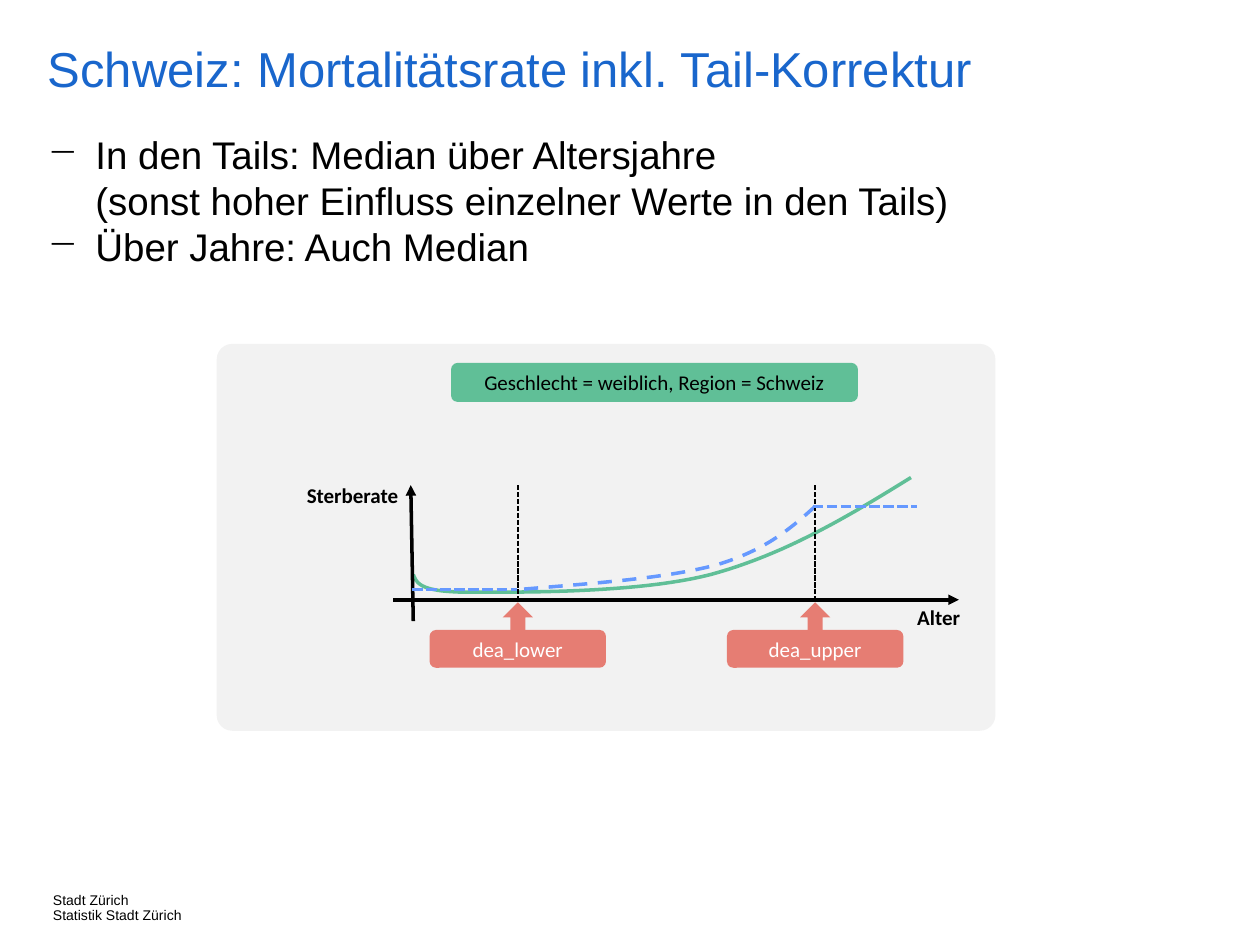
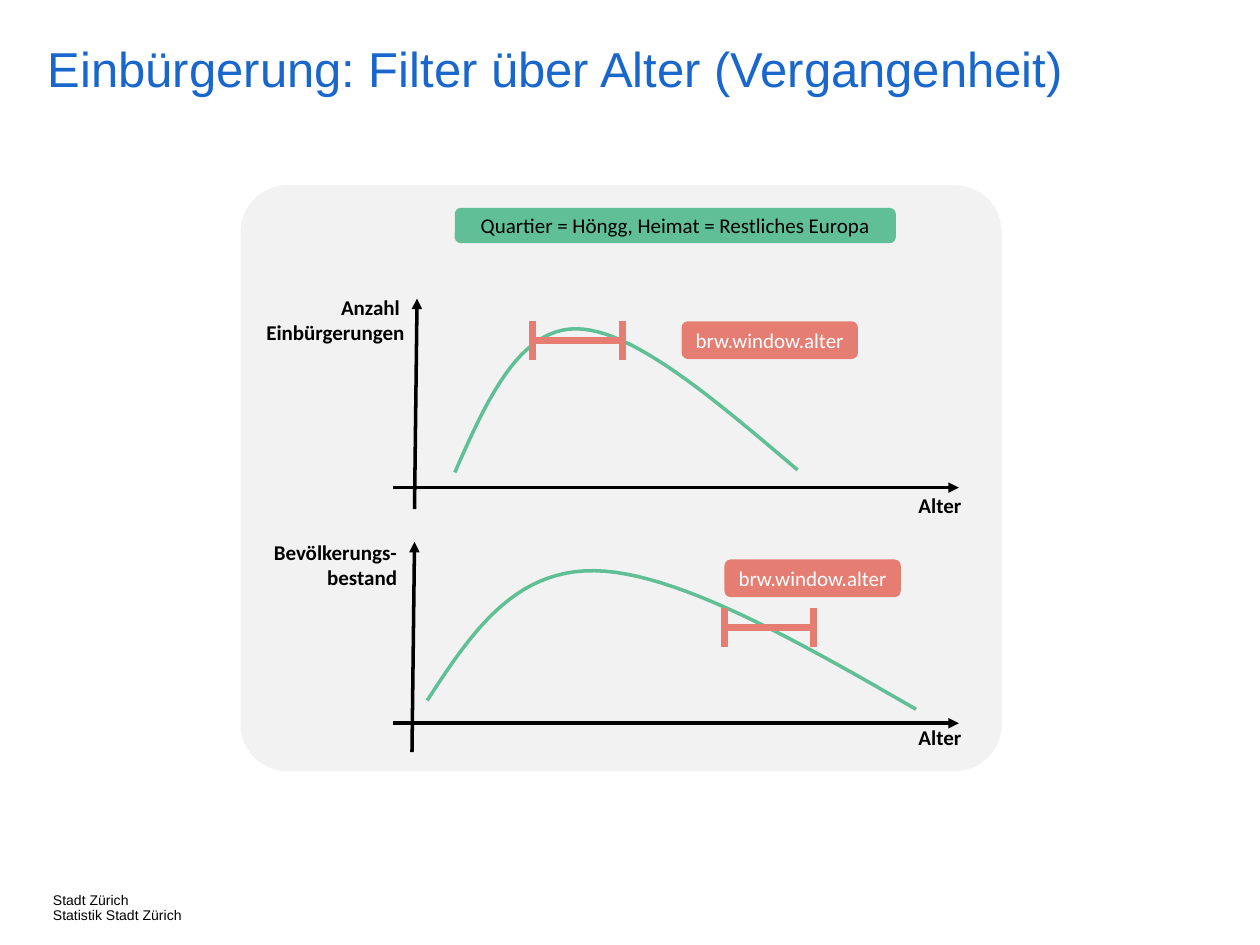
"""Builds two slides on mortality tail correction and naturalisation age filters."""
from lxml import etree
from pptx import Presentation
from pptx import util as u
from pptx.dml.color import RGBColor
from pptx.enum import dml, shapes, text
from pptx.oxml.ns import qn

BLACK = RGBColor(0x00, 0x00, 0x00)
WHITE = RGBColor(0xFF, 0xFF, 0xFF)
TITLE_BLUE = RGBColor(0x19, 0x66, 0xCC)
PANEL_GREY = RGBColor(0xF2, 0xF2, 0xF2)
GREEN = RGBColor(0x60, 0xBF, 0x97)
RED = RGBColor(0xE6, 0x7D, 0x73)
CURVE_BLUE = RGBColor(0x66, 0x99, 0xFF)

DASH, SHORT_DASH = dml.MSO_LINE.DASH, dml.MSO_LINE.SQUARE_DOT
LEFT, CENTER, RIGHT = text.PP_ALIGN.LEFT, text.PP_ALIGN.CENTER, text.PP_ALIGN.RIGHT

WIDTH, HEIGHT = u.Inches(10), u.Inches(7.5)
COLUMNS = 100
CELL = WIDTH / COLUMNS
CURVE_STEPS = 24
PILL_W, PILL_H = 14, 3
WINDOW_W, WINDOW_HALF_H = 7.1, 1.55

FOOTER = ["Stadt Zürich", "Statistik Stadt Zürich"]
FOOTER_BOX = (4.2, 70.9, 13.1, 2)
TITLE_BOX = (3.8, 3.6, 96.2, 6.4)
BULLET_BOX = (2.8, 9.9, 82.7, 12.1)

MORTALITY = {
    "title": "Schweiz: Mortalitätsrate inkl. Tail-Korrektur",
    "bullets": [
        "In den Tails: Median über Altersjahre \v(sonst hoher Einfluss einzelner Werte in den Tails)",
        "Über Jahre: Auch Median",
    ],
    "panel": ((17.2, 27.3, 61.8, 30.7), 0.04),
    "pills": [("Geschlecht = weiblich, Region = Schweiz", (35.8, 28.8, 32.3, 3.1), GREEN, BLACK)],
    "curves": [
        ([(32.8, 45.6), (33.1, 46.3), (33.3, 47), (37.3, 47), (41.2, 47), (50.6, 47.1),
          (56.4, 45.6), (62.3, 44), (67.3, 41), (72.3, 37.9)], GREEN, None),
        ([(64.7, 40.2), (62.8, 41.9), (60.9, 43.6), (57, 44.8), (53, 45.9), (47.1, 46.3),
          (41.1, 46.8)], CURVE_BLUE, DASH),
    ],
    "axes": [((31.2, 47.6), (76.1, 47.6)), ((32.8, 49.3), (32.6, 38.5))],
    "labels": [("Alter", (68.3, 47.5, 12.4, 3), CENTER), ("Sterberate", (17.8, 37.8, 14.8, 3), RIGHT)],
    "cutoffs": [("dea_lower", 41.1), ("dea_upper", 64.7)],
    "tails": [((32.7, 46.8), (41, 46.8)), ((64.5, 40.2), (72.8, 40.2))],
}

NATURALISATION = {
    "title": "Einbürgerung: Filter über Alter (Vergangenheit)",
    "panel": ((19.1, 14.7, 60.4, 46.5), 0.08),
    "pills": [
        ("Quartier = Höngg, Heimat = Restliches Europa", (36.1, 16.5, 35, 2.8), GREEN, BLACK),
        ("brw.window.alter", (54.1, 25.5, PILL_W, PILL_H), RED, WHITE),
        ("brw.window.alter", (57.5, 44.4, PILL_W, PILL_H), RED, WHITE),
    ],
    "curves": [
        ([(36.1, 37.5), (38.6, 31.8), (41.2, 26.1), (45.7, 26.1), (50.2, 26.1), (56.7, 31.7),
          (63.3, 37.3)], GREEN, None),
        ([(33.9, 55.6), (37.3, 50.4), (40.7, 45.2), (47.2, 45.3), (53.6, 45.4), (63.2, 50.8),
          (72.7, 56.3)], GREEN, None),
    ],
    "axes": [((31.2, 38.7), (76.1, 38.7)), ((32.9, 40.4), (33.1, 23.7)),
             ((31.2, 57.4), (76.1, 57.4)), ((32.7, 59.7), (32.9, 43))],
    "labels": [
        ("Alter", (68.4, 38.6, 12.4, 3), CENTER),
        ("Alter", (68.4, 57, 12.4, 3), CENTER),
        ("Anzahl \vEinbürgerungen", (19.1, 22.9, 14, 5), RIGHT),
        ("Bevölkerungs-bestand", (20.1, 42.3, 12.4, 5), RIGHT),
    ],
    "windows": [(42.3, 27), (57.5, 49.8)],
}


def emu(*cells):
    """Convert grid cells to slide lengths."""
    return [round(c * CELL) for c in cells]


def write(tf, paragraphs, size=12, font="Calibri", color=BLACK, bold=False, align=LEFT,
          spacing=None, bullet=None, inset=None, wrap=True, anchor=text.MSO_ANCHOR.TOP):
    """Fill a text frame with equally formatted paragraphs."""
    tf.word_wrap, tf.vertical_anchor = wrap, anchor
    if inset is not None:
        tf.margin_left = tf.margin_right = tf.margin_top = tf.margin_bottom = inset
    for i, content in enumerate(paragraphs):
        p = tf.add_paragraph() if i else tf.paragraphs[0]
        p.text, p.alignment = content, align
        if spacing:
            p.line_spacing = spacing
        if bullet:
            pPr = p._p.get_or_add_pPr()
            indent = u.Inches(0.38)
            pPr.set("marL", str(indent))
            pPr.set("indent", str(-indent))
            etree.SubElement(pPr, qn("a:buChar")).set("char", bullet)
        for r in p.runs:
            r.font.size, r.font.name, r.font.bold = u.Pt(size), font, bold
            r.font.color.rgb = color


def add_text(slide, box, paragraphs, **fmt):
    write(slide.shapes.add_textbox(*emu(*box)).text_frame, paragraphs, **fmt)


def add_block(slide, kind, box, fill, adjust=None):
    sp = slide.shapes.add_shape(kind, *emu(*box))
    sp.shadow.inherit = False
    sp.fill.solid()
    sp.fill.fore_color.rgb = fill
    sp.line.fill.background()
    if adjust is not None:
        sp.adjustments[0] = adjust
    return sp


def add_pill(slide, label, box, fill, color):
    sp = add_block(slide, shapes.MSO_SHAPE.ROUNDED_RECTANGLE, box, fill)
    write(sp.text_frame, [label], color=color, align=CENTER, inset=0, wrap=False,
          anchor=text.MSO_ANCHOR.MIDDLE)


def style_line(line, color, width, dash):
    line.color.rgb, line.width = color, u.Pt(width)
    if dash:
        line.dash_style = dash


def add_line(slide, start, end, color=BLACK, width=2, dash=None, arrow=False):
    c = slide.shapes.add_connector(shapes.MSO_CONNECTOR.STRAIGHT, *emu(*start, *end))
    style_line(c.line, color, width, dash)
    spPr = c._element.spPr
    if arrow:
        etree.SubElement(spPr.find(qn("a:ln")), qn("a:tailEnd")).set("type", "triangle")
    etree.SubElement(spPr, qn("a:effectLst"))


def bezier(a, b, c, d, t):
    s = 1 - t
    return tuple(s**3 * i + 3 * s * s * t * j + 3 * s * t * t * k + t**3 * m
                 for i, j, k, m in zip(a, b, c, d))


def add_curve(slide, controls, color, dash):
    """Trace joined cubic curves through a list of control points."""
    points = [bezier(*controls[i:i + 4], step / CURVE_STEPS)
              for i in range(0, len(controls) - 1, 3) for step in range(1, CURVE_STEPS + 1)]
    fb = slide.shapes.build_freeform(*emu(*controls[0]))
    fb.add_line_segments([emu(*pt) for pt in points], close=False)
    sp = fb.convert_to_shape()
    sp.shadow.inherit = False
    sp.fill.background()
    style_line(sp.line, color, 2, dash)


def add_cutoff(slide, label, x):
    top, pill_top = 47.8, 50
    add_block(slide, shapes.MSO_SHAPE.UP_ARROW, (x - 1.2, top, 2.4, 2.8), RED)
    add_pill(slide, label, (x - PILL_W / 2, pill_top, PILL_W, PILL_H), RED, WHITE)
    add_line(slide, (x, 38.5), (x, top), width=1, dash=SHORT_DASH)


def add_window(slide, x, y):
    add_line(slide, (x, y), (x + WINDOW_W, y), RED, 4)
    for end in (x, x + WINDOW_W):
        add_line(slide, (end, y - WINDOW_HALF_H), (end, y + WINDOW_HALF_H), RED, 4)


def build_slide(prs, content):
    slide = prs.slides.add_slide(prs.slide_layouts[6])
    add_text(slide, FOOTER_BOX, FOOTER, size=8, font="Arial", spacing=0.9, inset=0, wrap=False)
    add_text(slide, TITLE_BOX, [content["title"]], size=28, font="Arial", color=TITLE_BLUE,
             spacing=0.9, inset=0)
    if "bullets" in content:
        add_text(slide, BULLET_BOX, content["bullets"], size=22, font="Arial", bullet="−")
    box, adjust = content["panel"]
    add_block(slide, shapes.MSO_SHAPE.ROUNDED_RECTANGLE, box, PANEL_GREY, adjust)
    for curve in content["curves"]:
        add_curve(slide, *curve)
    for start, end in content["axes"]:
        add_line(slide, start, end, arrow=True)
    for label, box, align in content["labels"]:
        add_text(slide, box, [label], bold=True, align=align)
    for pill in content["pills"]:
        add_pill(slide, *pill)
    for cutoff in content.get("cutoffs", []):
        add_cutoff(slide, *cutoff)
    for start, end in content.get("tails", []):
        add_line(slide, start, end, CURVE_BLUE, dash=SHORT_DASH)
    for window in content.get("windows", []):
        add_window(slide, *window)


def main():
    prs = Presentation()
    prs.slide_width, prs.slide_height = WIDTH, HEIGHT
    for content in (MORTALITY, NATURALISATION):
        build_slide(prs, content)
    prs.save("out.pptx")


if __name__ == "__main__":
    main()
